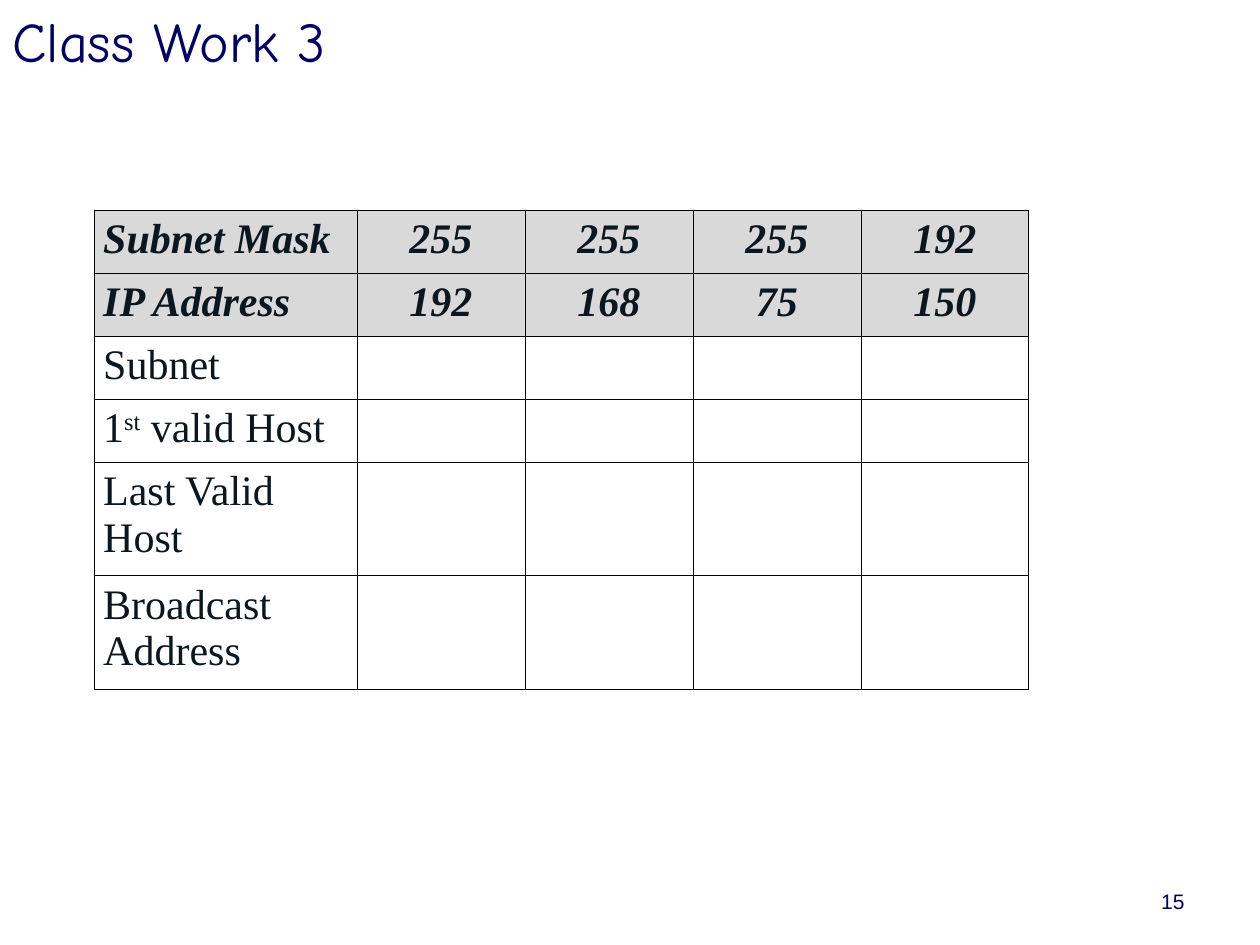
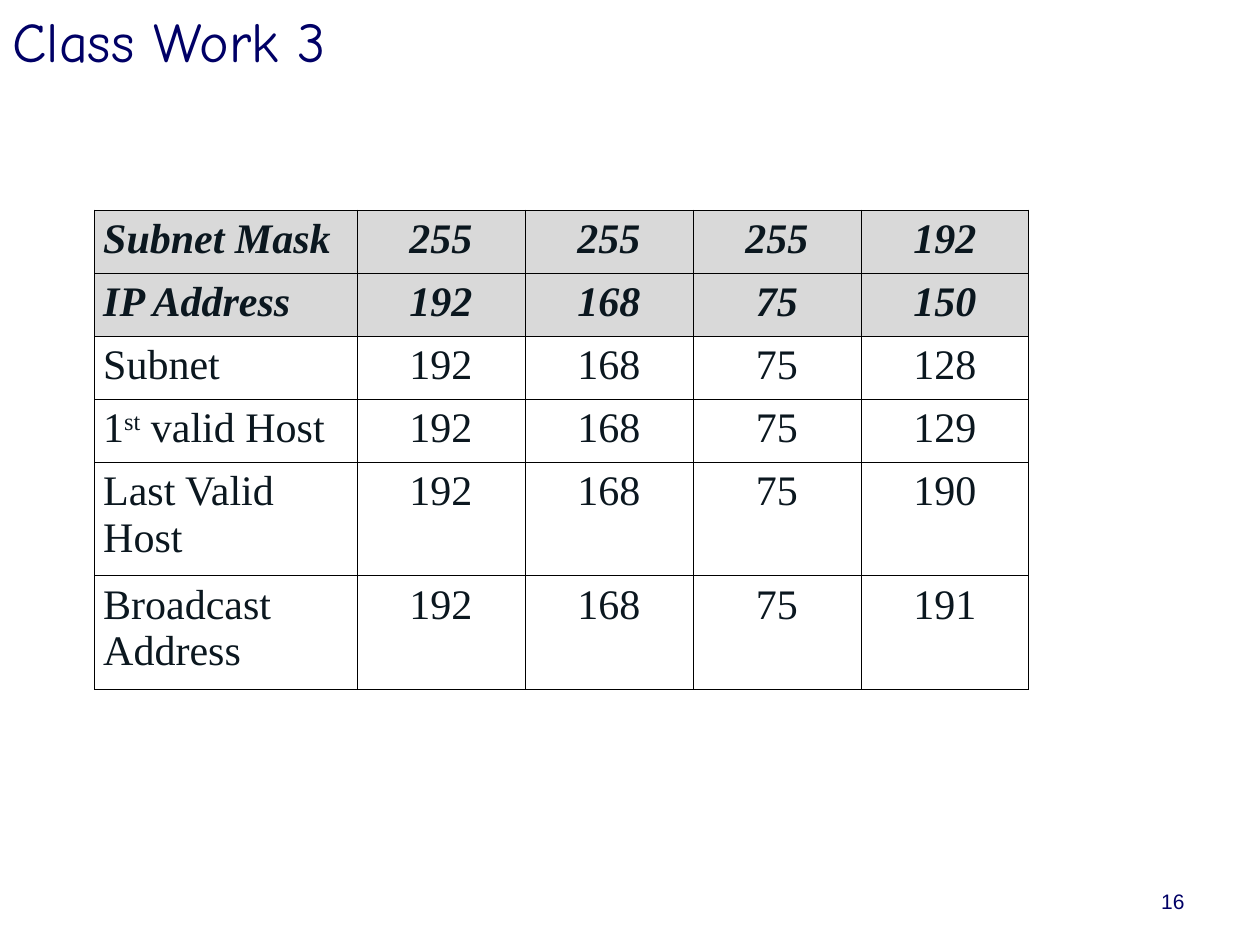
"""Build the two Class Work 3 slides: the blank subnet exercise and its answers."""
from dataclasses import dataclass

from lxml import etree
from pptx import Presentation
from pptx.dml.color import RGBColor
from pptx.enum.text import MSO_ANCHOR, MSO_AUTO_SIZE, PP_ALIGN
from pptx.oxml.ns import qn
from pptx.slide import Slide
from pptx.table import _Cell
from pptx.text.text import TextFrame
from pptx.util import Pt

LEFT, CENTER, RIGHT = PP_ALIGN.LEFT, PP_ALIGN.CENTER, PP_ALIGN.RIGHT
JUSTIFY = PP_ALIGN.JUSTIFY
TOP, MIDDLE = MSO_ANCHOR.TOP, MSO_ANCHOR.MIDDLE
FIT_SHAPE = MSO_AUTO_SIZE.SHAPE_TO_FIT_TEXT
NO_FIT = MSO_AUTO_SIZE.NONE

COLORS = {"navy": "000066", "ink": "0B171F", "header": "D9D9D9", "border": "000000"}
LABEL_W, OCTET_W = 150, 96
ROW_H, TALL_ROW_H = 36, 64.8
BORDER_W = 0.45
SUPERSCRIPT = "^"


@dataclass
class Row:
    label: str
    octets: tuple[int, ...]
    height: float = ROW_H
    given: bool = False


@dataclass
class Box:
    left: float
    top: float
    width: float
    height: float
    font: str
    size: float
    align: PP_ALIGN
    anchor: MSO_ANCHOR = TOP
    fit: MSO_AUTO_SIZE = NO_FIT


ROWS = [
    Row("Subnet Mask", (255, 255, 255, 192), given=True),
    Row("IP Address", (192, 168, 75, 150), given=True),
    Row("Subnet", (192, 168, 75, 128)),
    Row("1^st^ valid Host", (192, 168, 75, 129)),
    Row("Last Valid Host", (192, 168, 75, 190), TALL_ROW_H),
    Row("Broadcast Address", (192, 168, 75, 191), TALL_ROW_H),
]
NUMBER = Box(516, 504, 168, 36, "Arial", 12, RIGHT)
TITLE = Box(0, 0, 720, 46, "Comic Neue", 32, JUSTIFY, MIDDLE, FIT_SHAPE)


def write(tf: TextFrame, text: str, *, font: str, size: float, color: str,
          align: PP_ALIGN = LEFT, strong: bool = False) -> None:
    """Write one paragraph, raising the parts between superscript marks."""
    p = tf.paragraphs[0]
    p.alignment = align
    for i, part in enumerate(text.split(SUPERSCRIPT)):
        r = p.add_run()
        r.text = part
        r.font.name, r.font.size = font, Pt(size)
        r.font.bold = r.font.italic = strong
        r.font.color.rgb = RGBColor.from_string(COLORS[color])
        if i % 2:
            r.font._element.set("baseline", "30000")


def add_box(slide: Slide, box: Box, text: str) -> None:
    """Add a navy text box."""
    sp = slide.shapes.add_textbox(Pt(box.left), Pt(box.top), Pt(box.width), Pt(box.height))
    tf = sp.text_frame
    tf.word_wrap = True
    tf.auto_size = box.fit
    tf.vertical_anchor = box.anchor
    write(tf, text, font=box.font, size=box.size, color="navy", align=box.align)


def style_cell(cell: _Cell, given: bool) -> None:
    """Set the margins, fill and four borders of a cell."""
    cell.margin_left = cell.margin_right = Pt(5)
    cell.margin_top = cell.margin_bottom = Pt(3.6)
    if given:
        cell.fill.solid()
        cell.fill.fore_color.rgb = RGBColor.from_string(COLORS["header"])
    else:
        cell.fill.background()
    tc_pr = cell._tc.get_or_add_tcPr()
    for i, side in enumerate("LRTB"):
        ln = etree.Element(qn(f"a:ln{side}"), w=str(Pt(BORDER_W)))
        fill = etree.SubElement(ln, qn("a:solidFill"))
        etree.SubElement(fill, qn("a:srgbClr"), val=COLORS["border"])
        tc_pr.insert(i, ln)


def add_subnet_table(slide: Slide, solved: bool) -> None:
    """Add the subnet table, with the answers if solved."""
    widths = [LABEL_W] + [OCTET_W] * 4
    table = slide.shapes.add_table(
        len(ROWS), len(widths), Pt(54), Pt(120),
        Pt(sum(widths)), Pt(sum(row.height for row in ROWS))).table
    table.first_row = table.horz_banding = False
    for column, width in zip(table.columns, widths):
        column.width = Pt(width)
    for i, row in enumerate(ROWS):
        table.rows[i].height = Pt(row.height)
        for j, value in enumerate((row.label, *row.octets)):
            cell = table.cell(i, j)
            style_cell(cell, row.given)
            if j == 0 or row.given or solved:
                write(cell.text_frame, str(value), font="Times New Roman", size=24,
                      color="ink", align=CENTER if j else LEFT, strong=row.given)


def main() -> None:
    """Build and save the presentation."""
    prs = Presentation()
    prs.slide_width, prs.slide_height = Pt(720), Pt(540)
    for number, solved in ((15, False), (16, True)):
        slide = prs.slides.add_slide(prs.slide_layouts[6])
        add_box(slide, NUMBER, str(number))
        add_box(slide, TITLE, "Class Work 3")
        add_subnet_table(slide, solved)
    prs.save("out.pptx")


if __name__ == "__main__":
    main()
